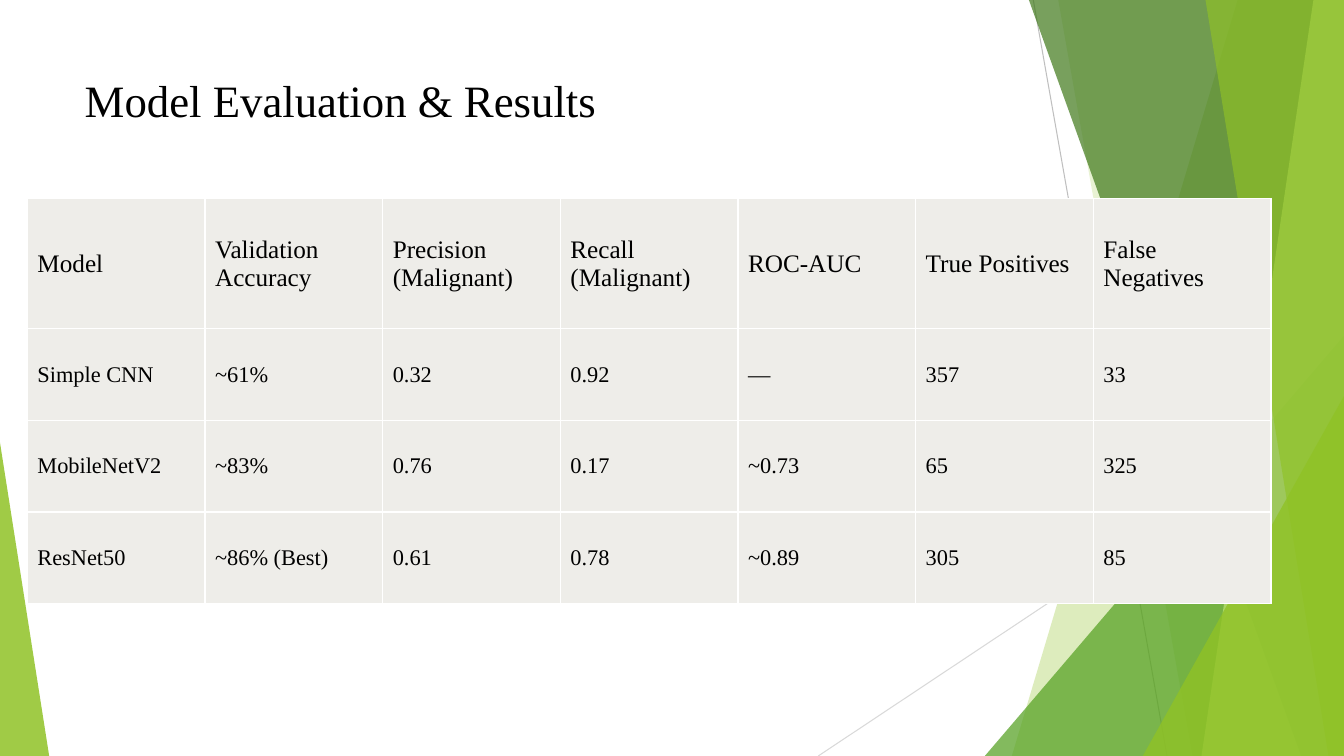
from pptx import Presentation
from pptx.dml.color import RGBColor
from pptx.enum.shapes import MSO_CONNECTOR, MSO_SHAPE
from pptx.enum.text import MSO_ANCHOR, PP_ALIGN
from pptx.oxml.ns import qn
from pptx.util import Cm, Pt
from lxml import etree

LINE = MSO_CONNECTOR.STRAIGHT
TRI = MSO_SHAPE.ISOSCELES_TRIANGLE
TOP, MIDDLE = MSO_ANCHOR.TOP, MSO_ANCHOR.MIDDLE
LEFT = PP_ALIGN.LEFT

BLACK = RGBColor(0x00, 0x00, 0x00)
WHITE = RGBColor(0xFF, 0xFF, 0xFF)
STONE = RGBColor(0xEE, 0xED, 0xE9)
SILVER = RGBColor(0xBF, 0xBF, 0xBF)
MIST = RGBColor(0xD9, 0xD9, 0xD9)
LIME = RGBColor(0x90, 0xC2, 0x26)
GREEN = RGBColor(0x54, 0xA0, 0x21)
FOREST = RGBColor(0x3F, 0x78, 0x19)
PALE = RGBColor(0xC0, 0xE4, 0x74)
FONT = "Times New Roman"

# Content
TITLE = "Model Evaluation & Results"
ROWS = [
    ("Model", "Validation Accuracy", "Precision (Malignant)",
     "Recall (Malignant)", "ROC-AUC", "True Positives", "False Negatives"),
    ("Simple CNN", "~61%", "0.32", "0.92", "—", "357", "33"),
    ("MobileNetV2", "~83%", "0.76", "0.17", "~0.73", "65", "325"),
    ("ResNet50", "~86% (Best)", "0.61", "0.78", "~0.89", "305", "85"),
]

# Backdrop, in cm
WIDE, HIGH = 33.87, 19.05
RAYS = [  # x1, y1, x2, y2, colour
    (26.04, 0, 29.41, HIGH, SILVER),
    (WIDE, 10.24, 20.62, HIGH, MIST),
]
# Bands reach the right edge: top x, bottom x, colour, opacity %
# Wedges stand on the bottom edge: left, top, width, apex, colour, opacity %
FACETS = [
    ("band", 31.19, 25.5, LIME, 30),
    ("band", 26.67, 30.05, LIME, 20),
    ("wedge", 24.82, 8.46, 9.05, 1, GREEN, 72),
    ("band", 25.93, 32.79, FOREST, 70),
    ("band", 33.1, 30.28, PALE, 70),
    ("band", 30.38, 33.48, LIME, 65),
    ("wedge", 28.8, 9.98, 5.07, 1, LIME, 80),
    ("wedge", 0, 11.15, 1.24, 0, LIME, 85),
]
GRID_X, GRID_Y, GRID_W = 0.69, 5, 31.34
HEAD_H, ROW_H = 3.28, 2.31


def tint(shape, color, alpha):
    shape.shadow.inherit = False
    shape.line.fill.background()
    shape.fill.solid()
    shape.fill.fore_color.rgb = color
    tone = shape.element.spPr.find(qn("a:solidFill"))[0]
    etree.SubElement(tone, qn("a:alpha"), val=str(alpha * 1000))


def ray(slide, x1, y1, x2, y2, color):
    line = slide.shapes.add_connector(LINE, Cm(x1), Cm(y1), Cm(x2), Cm(y2))
    line.line.color.rgb = color
    line.line.width = Pt(0.75)
    etree.SubElement(line.element.spPr, qn("a:effectLst"))


def band(slide, top, foot, color, alpha):
    pen = slide.shapes.build_freeform(Cm(top), 0)
    pen.add_line_segments([(Cm(WIDE), 0), (Cm(WIDE), Cm(HIGH)),
                           (Cm(foot), Cm(HIGH))], close=True)
    tint(pen.convert_to_shape(), color, alpha)


def wedge(slide, left, top, width, apex, color, alpha):
    shape = slide.shapes.add_shape(TRI, Cm(left), Cm(top), Cm(width),
                                   Cm(HIGH - top))
    shape.adjustments[0] = apex
    tint(shape, color, alpha)


def style(para, size):
    para.alignment = LEFT
    para.font.name = FONT
    para.font.size = Pt(size)
    para.font.color.rgb = BLACK


def border(cell):
    props = cell._tc.get_or_add_tcPr()
    for i, side in enumerate(("lnL", "lnR", "lnT", "lnB")):
        edge = etree.Element(qn("a:" + side), w=str(Pt(1)))
        fill = etree.SubElement(edge, qn("a:solidFill"))
        etree.SubElement(fill, qn("a:srgbClr"), val=str(WHITE))
        props.insert(i, edge)


def main():
    deck = Presentation()
    deck.slide_width, deck.slide_height = Cm(WIDE), Cm(HIGH)
    slide = deck.slides.add_slide(deck.slide_layouts[5])

    # Backdrop
    for item in RAYS:
        ray(slide, *item)
    draw = {"band": band, "wedge": wedge}
    for kind, *args in FACETS:
        draw[kind](slide, *args)

    # Title, raised above the backdrop
    title = slide.shapes.title
    title.left, title.top = Cm(1.88), Cm(1.7)
    title.width, title.height = Cm(23.88), Cm(3.66)
    title.text_frame.text = TITLE
    title.text_frame.vertical_anchor = TOP
    style(title.text_frame.paragraphs[0], 32)
    title.element.getparent().append(title.element)

    # Results table
    cols = len(ROWS[0])
    body = len(ROWS) - 1
    table = slide.shapes.add_table(
        len(ROWS), cols, Cm(GRID_X), Cm(GRID_Y), Cm(GRID_W),
        Cm(HEAD_H + body * ROW_H)).table
    table.first_row = table.horz_banding = False
    for col in table.columns:
        col.width = Cm(GRID_W / cols)
    for r, texts in enumerate(ROWS):
        table.rows[r].height = Cm(ROW_H if r else HEAD_H)
        for c, text in enumerate(texts):
            cell = table.cell(r, c)
            cell.text = text
            cell.vertical_anchor = MIDDLE
            cell.fill.solid()
            cell.fill.fore_color.rgb = STONE
            border(cell)
            style(cell.text_frame.paragraphs[0], 16 if r else 18)

    deck.save("out.pptx")


if __name__ == "__main__":
    main()
